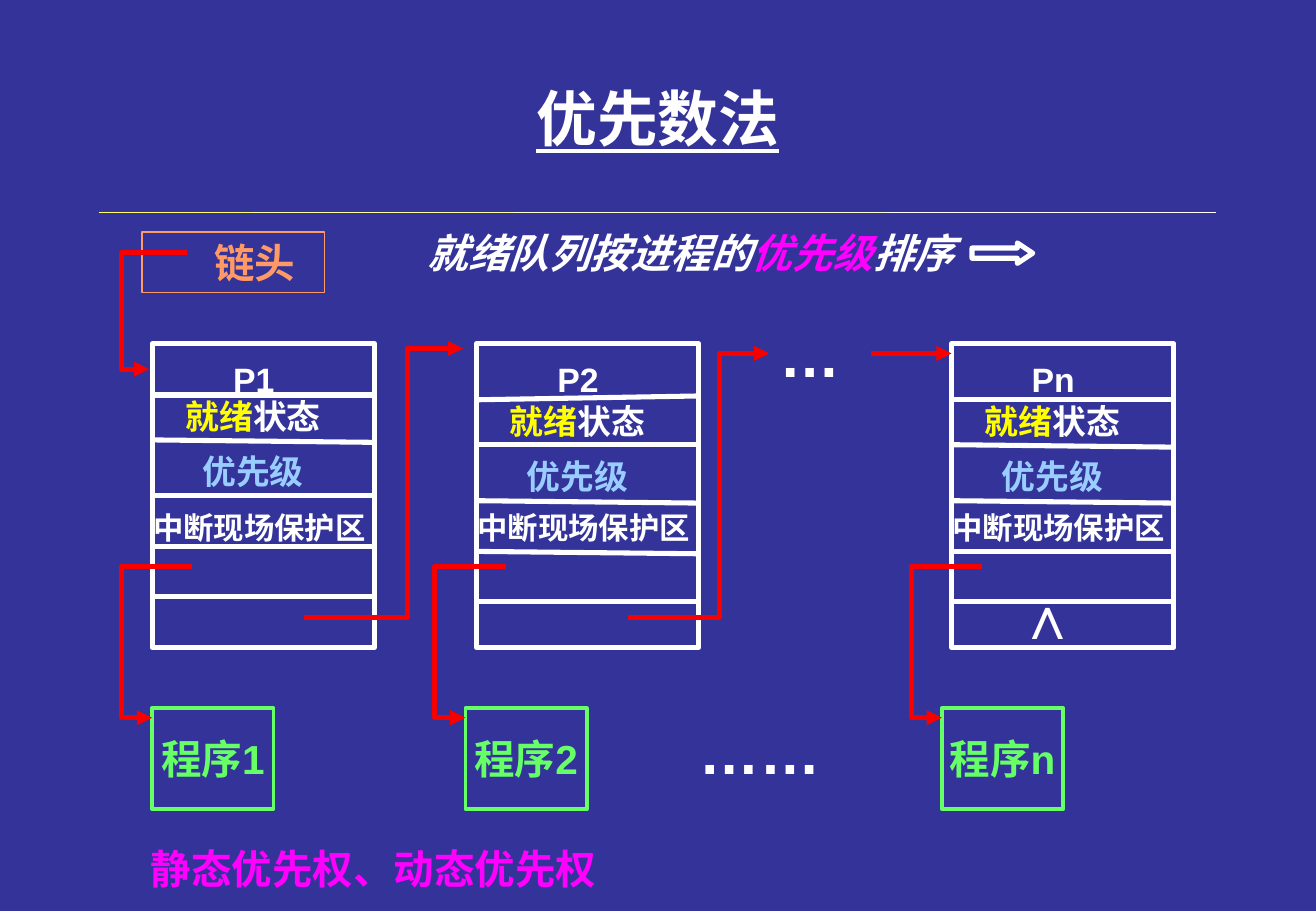
import dataclasses

import pptx
import pptx.dml.color
import pptx.enum.shapes
import pptx.enum.text
import pptx.oxml
import pptx.oxml.ns
import pptx.util

Cm = pptx.util.Cm
Pt = pptx.util.Pt
Align = pptx.enum.text.PP_ALIGN
Anchor = pptx.enum.text.MSO_ANCHOR
Preset = pptx.enum.shapes.MSO_SHAPE


@dataclasses.dataclass(frozen=True)
class Theme:
    back: str = "333399"
    white: str = "FFFFFF"
    cream: str = "FFFFCC"
    pale: str = "FFFF99"
    lemon: str = "FFFF66"
    yellow: str = "FFFF00"
    blue: str = "99CCFF"
    green: str = "66FF66"
    orange: str = "FF9966"
    pink: str = "FF00FF"
    red: str = "F90000"
    body: str = "Arial"
    head: str = "Noto Sans CJK JP"
    huge: int = 36
    large: int = 24
    medium: int = 20
    small: int = 18
    thick: float = 3
    frame: float = 2.25
    thin: float = 0.75


theme = Theme()


def color(code):
    return pptx.dml.color.RGBColor.from_string(code)


def write(frame, parts, size, align=Align.CENTER, font=theme.body):
    """Fill one paragraph from (text, colour) parts."""
    para = frame.paragraphs[0]
    para.alignment = align
    for text, code in parts:
        run = para.add_run()
        run.text = text
        run.font.name, run.font.size, run.font.bold = font, Pt(size), True
        run.font.color.rgb = color(code)
    return para


def label(slide, box, parts, size, **style):
    area = slide.shapes.add_textbox(*map(Cm, box))
    area.text_frame.word_wrap = True
    return write(area.text_frame, parts, size, **style)


def stroke(shape, code, width):
    shape.line.color.rgb = color(code)
    shape.line.width = Pt(width)


def outline(slide, box, code, width, kind=Preset.RECTANGLE):
    shape = slide.shapes.add_shape(kind, *map(Cm, box))
    shape.shadow.inherit = False
    shape.fill.background()
    stroke(shape, code, width)
    return shape


def add_head(shape):
    line = shape.line._get_or_add_ln()
    line.append(pptx.oxml.parse_xml(
        f'<a:tailEnd {pptx.oxml.ns.nsdecls("a")} type="triangle"/>'))


def rule(slide, start, end, code, width):
    line = slide.shapes.add_connector(
        pptx.enum.shapes.MSO_CONNECTOR.STRAIGHT, *map(Cm, start + end))
    stroke(line, code, width)
    line._element.spPr.append(pptx.oxml.parse_xml(
        f'<a:effectLst {pptx.oxml.ns.nsdecls("a")}/>'))
    return line


def pointer(slide, *points):
    """Draw a bent red arrow through the points."""
    spots = [(Cm(x), Cm(y)) for x, y in points]
    build = slide.shapes.build_freeform(*spots[0])
    build.add_line_segments(spots[1:], close=False)
    path = build.convert_to_shape()
    path.shadow.inherit = False
    path.fill.background()
    stroke(path, theme.red, theme.thick)
    add_head(path)


def title(slide, box):
    x, y, w, h = box
    area = slide.shapes.add_textbox(*map(Cm, box))
    area.text_frame.word_wrap = True
    area.text_frame.vertical_anchor = Anchor.MIDDLE
    para = write(area.text_frame, [("优先数法", theme.white)], theme.huge,
                 font=theme.head)
    para.runs[0].font.underline = True

    # Fading rule, drawn from right to left
    base, wide, short = y + 3.25, 2.75, 1.37
    tones = [theme.cream] * 3 + [theme.white] * 3
    parts = [(0, 1.83, theme.lemon)]
    parts += [(0.92 + short * i, 2.29, theme.pale if i else theme.lemon)
              for i in range(5)]
    parts += [(8.25 + wide * i, short if i == 5 else wide, tone)
              for i, tone in enumerate(tones)]
    for left, size, tone in reversed(parts):
        rule(slide, (x + left, base), (x + left + size, base), tone, theme.thin)


def header(slide, box):
    x, y, w, h = box
    # Head of the list
    cell = outline(slide, (x, y, 3.81, h), theme.orange, theme.thin)
    frame = cell.text_frame
    frame.vertical_anchor = Anchor.MIDDLE
    frame.margin_right = Cm(0.61)
    write(frame, [("链头", theme.orange)], theme.large, Align.RIGHT)
    pointer(slide, (x + 0.94, y + 0.43), (x - 0.43, y + 0.43),
            (x - 0.43, y + 2.87), (x + 0.15, y + 2.87))

    # Sorting order
    para = label(slide, (x + 5.72, y - 0.2, 15.44, 1.27),
                 [("就绪队列按进程的", theme.white), ("优先级", theme.pink),
                  ("排序", theme.white)], theme.large, align=Align.LEFT)
    for run in para.runs:
        run.font.italic = True
    arrow = outline(slide, (x + 17.35, y + 0.23, 1.27, 0.43), theme.white,
                    theme.thick, Preset.RIGHT_ARROW)
    arrow.adjustments[0], arrow.adjustments[1] = 0.5, 0.75


def process(slide, box, name, drop, slopes):
    """Draw a control block; drop shifts its rows, slopes tilt its rules."""
    x, y, w, h = box
    outline(slide, box, theme.white, theme.thick)
    for row, slope in zip((1.07, 2.01, 3.18, 4.24, 5.28), slopes):
        level = y + row + drop
        rule(slide, (x, level), (x + w, level + slope), theme.white, theme.thick)
    label(slide, (x + 0.64, y + 0.18, 2.97, 1.09), [(name, theme.white)],
          theme.medium)
    label(slide, (x + 0.42, y + 0.97 + drop, 3.38, 1.09),
          [("就绪", theme.yellow), ("状态", theme.white)], theme.medium)
    label(slide, (x + 0.42, y + 2.11 + drop, 3.38, 1.09),
          [("优先级", theme.blue)], theme.medium)
    label(slide, (x - 0.23, y + 3.33, 5.28, 1.02),
          [("中断现场保护区", theme.white)], theme.small, align=Align.LEFT)


def program(slide, box, name):
    x, y, w, h = box
    cell = outline(slide, box, theme.green, theme.frame)
    frame = cell.text_frame
    frame.word_wrap = False
    frame.vertical_anchor = Anchor.MIDDLE
    write(frame, [(name, theme.green)], theme.large)
    pointer(slide, (x + 0.84, y - 2.97), (x - 0.64, y - 2.97),
            (x - 0.64, y + 0.2), (x, y + 0.2))


def queue(slide, box):
    x, y, w, h = box
    blocks = [("P1", "程序1", 0, 0, 0, (0, 0.05, 0, 0, 0)),
              ("P2", "程序2", 6.78, 6.55, 0.1, (-0.08, 0, 0.05, 0.05, 0)),
              ("Pn", "程序n", 16.71, 16.51, 0.1, (0, 0.05, 0.05, 0, 0))]
    for name, code, left, under, drop, slopes in blocks:
        process(slide, (x + left, y, 4.65, 6.35), name, drop, slopes)
        program(slide, (x + under, y + 7.62, 2.54, 2.11), code)

    # Links to the next block
    for start, turn, end, top in ((3.18, 5.33, 6.5, 0.1),
                                  (9.95, 11.86, 12.9, 0.2)):
        pointer(slide, (x + start, y + 5.72), (x + turn, y + 5.72),
                (x + turn, y + top), (x + end, y + top))
    add_head(rule(slide, (x + 15.03, y + 0.2), (x + 16.71, y + 0.2),
                  theme.red, theme.thick))

    # Gaps and end mark
    for mark, left, top, size in (("…", 12.06, -0.69, 3.38),
                                  ("……", 10.16, 7.62, 5.08),
                                  ("∧", 17.35, 4.78, 2.74)):
        label(slide, (x + left, y + top, size, 1.78), [(mark, theme.white)],
              theme.huge)


def footer(slide, box):
    label(slide, box, [("静态优先权、动态优先权", theme.pink)], theme.large,
          align=Align.LEFT)


def main():
    deck = pptx.Presentation()
    deck.slide_width, deck.slide_height = Cm(27.51), Cm(19.05)
    slide = deck.slides.add_slide(deck.slide_layouts[6])
    slide.background.fill.solid()
    slide.background.fill.fore_color.rgb = color(theme.back)
    title(slide, (2.06, 1.19, 23.39, 2.54))
    header(slide, (2.97, 4.85, 18.62, 1.27))
    queue(slide, (3.18, 7.19, 21.36, 9.73))
    footer(slide, (2.9, 17.53, 12.27, 1.27))
    deck.save("out.pptx")


if __name__ == "__main__":
    main()
